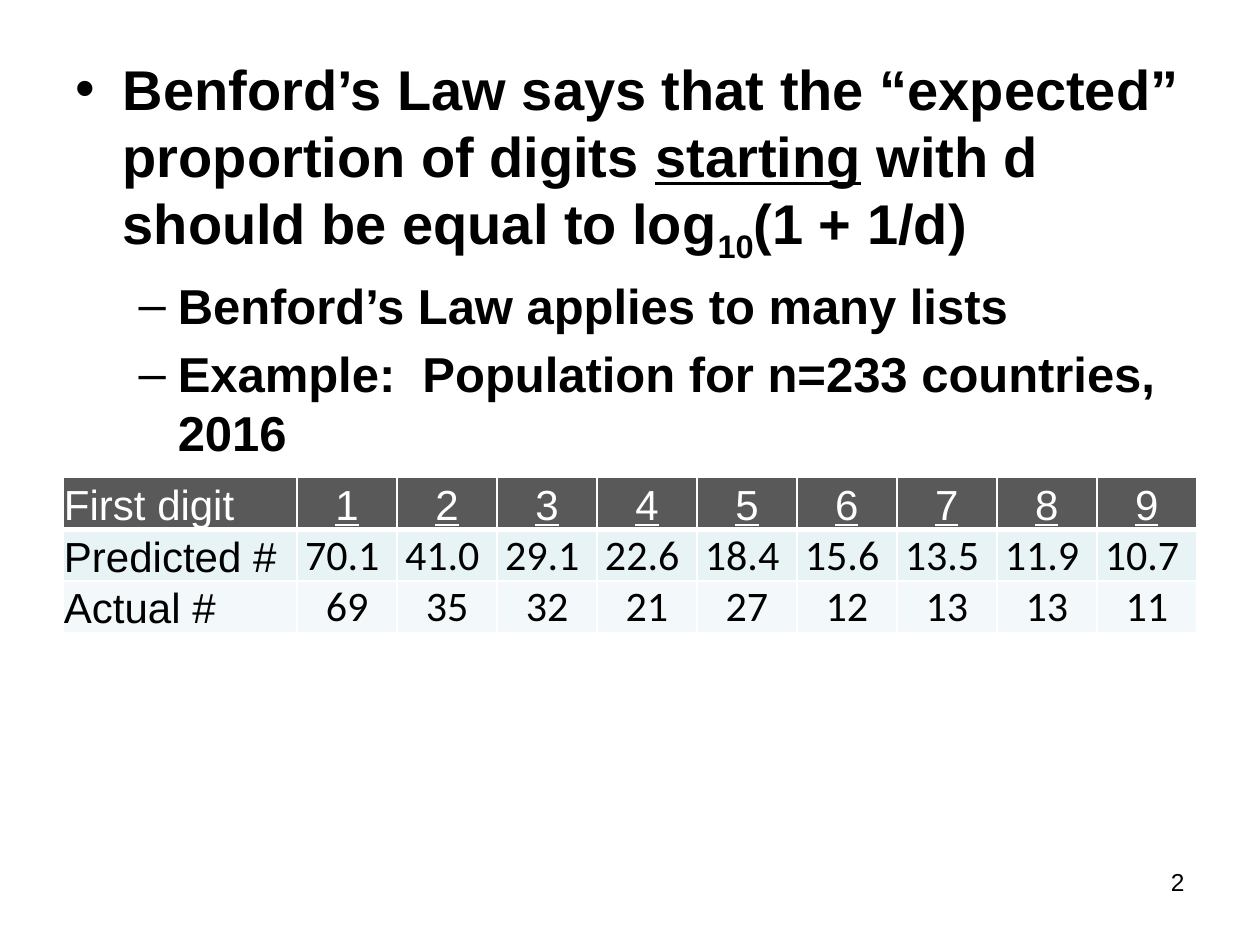
from dataclasses import dataclass

from lxml.etree import SubElement
from pptx import Presentation
from pptx.dml.color import RGBColor
from pptx.enum.text import MSO_ANCHOR, MSO_AUTO_SIZE, PP_ALIGN
from pptx.oxml.ns import qn
from pptx.util import Cm, Pt


@dataclass(frozen=True)
class Theme:
    """Colours, fonts and type sizes of the slide."""
    white: str = "FFFFFF"
    black: str = "000000"
    header: str = "595959"
    bands: tuple = ("E7F3F4", "F3F9FA")
    font: str = "Arial"
    figure_font: str = "Calibri"
    body_sizes: tuple = (32, 28)
    table_size: int = 24
    number_size: int = 14


THEME = Theme()

LEVELS = (("•", Cm(0.95), Cm(-0.95)), ("–", Cm(2.06), Cm(-0.79)))

BULLETS = (
    (0, (
        ("Benford’s Law says that the “expected” proportion of digits ", ""),
        ("starting", "underline"),
        (" with d should be equal to log", ""),
        ("10", "subscript"),
        ("(1 + 1/d)", ""),
    )),
    (1, (("Benford’s Law applies to many lists", ""),)),
    (1, (("Example:  Population for n=233 countries, 2016", ""),)),
)

DIGIT_ROWS = (
    ("First digit", "1", "2", "3", "4", "5", "6", "7", "8", "9"),
    ("Predicted #", "70.1 ", "41.0 ", "29.1 ", "22.6 ", "18.4 ",
     "15.6 ", "13.5 ", "11.9 ", "10.7 "),
    ("Actual #", "69", "35", "32", "21", "27", "12", "13", "13", "11"),
)


def style_span(span, size, color=THEME.black, font=THEME.font, bold=False):
    """Set the type of one run."""
    span.font.name = font
    span.font.size = Pt(size)
    span.font.bold = bold
    span.font.color.rgb = RGBColor.from_string(color)


def set_bullet(para, level):
    """Give a paragraph the bullet and indent of its level."""
    mark, margin, indent = LEVELS[level]
    para.level = level
    properties = para._p.get_or_add_pPr()
    properties.set("marL", str(margin))
    properties.set("indent", str(indent))
    SubElement(properties, qn("a:buFont"), typeface=THEME.font)
    SubElement(properties, qn("a:buChar"), char=mark)


def fill_body(box):
    """Place the body placeholder and write its bullets."""
    box.left, box.top, box.width, box.height = Cm(1.27), Cm(0.97), Cm(22.86), Cm(16.18)
    box.fill.solid()
    box.fill.fore_color.rgb = RGBColor.from_string(THEME.white)
    color = box._element.xpath("./p:spPr/a:solidFill/a:srgbClr")[0]
    SubElement(color, qn("a:alpha"), val="90000")
    frame = box.text_frame
    frame.word_wrap = True
    frame.auto_size = MSO_AUTO_SIZE.NONE
    for index, (level, spans) in enumerate(BULLETS):
        para = frame.add_paragraph() if index else frame.paragraphs[0]
        size = THEME.body_sizes[level]
        set_bullet(para, level)
        para.space_before = Pt(0.2 * size if index else 0)
        for text, effect in spans:
            span = para.add_run()
            span.text = text
            style_span(span, size, bold=True)
            if effect == "underline":
                span.font.underline = True
            elif effect == "subscript":
                span._r.get_or_add_rPr().set("baseline", "-25000")


def set_borders(cell, widths):
    """Draw white borders of the given widths round a cell."""
    properties = cell._tc.get_or_add_tcPr()
    for side, width in zip("LRTB", widths):
        line = SubElement(properties, qn(f"a:ln{side}"), w=str(Pt(width)))
        fill = SubElement(line, qn("a:solidFill"))
        SubElement(fill, qn("a:srgbClr"), val=THEME.white)


def fill_cell(cell, text, row, column):
    """Write and format one table cell."""
    is_header, is_label = row == 0, column == 0
    set_borders(cell, (1, 1, 3 if row == 1 else 1, 3 if is_header else 1))
    cell.fill.solid()
    fill = THEME.header if is_header else THEME.bands[row - 1]
    cell.fill.fore_color.rgb = RGBColor.from_string(fill)
    cell.margin_left = cell.margin_right = cell.margin_top = Cm(0.02)
    cell.margin_bottom = 0
    cell.vertical_anchor = MSO_ANCHOR.BOTTOM
    cell.text_frame.text = text
    para = cell.text_frame.paragraphs[0]
    para.alignment = PP_ALIGN.LEFT if is_label else PP_ALIGN.CENTER
    span = para.runs[0]
    style_span(
        span, THEME.table_size,
        color=THEME.white if is_header else THEME.black,
        font=THEME.font if is_header or is_label else THEME.figure_font)
    span.font.underline = is_header and not is_label


def add_digit_table(page):
    """Add the table of predicted and actual first digits."""
    width, label_width, row_height = Cm(22.86), Cm(4.72), Cm(1.04)
    row_count, column_count = len(DIGIT_ROWS), len(DIGIT_ROWS[0])
    table = page.shapes.add_table(
        row_count, column_count, Cm(1.27), Cm(9.63), width, row_height * row_count).table
    for column, item in enumerate(table.columns):
        item.width = (width - label_width) // (column_count - 1) if column else label_width
    for row, texts in enumerate(DIGIT_ROWS):
        table.rows[row].height = row_height
        for column, text in enumerate(texts):
            fill_cell(table.cell(row, column), text, row, column)


def add_page_number(page, number):
    """Add the page number at the lower right."""
    box = page.shapes.add_textbox(Cm(18.2), Cm(17.35), Cm(5.93), Cm(1.32))
    box.text_frame.word_wrap = True
    box.text_frame.text = number
    para = box.text_frame.paragraphs[0]
    para.alignment = PP_ALIGN.RIGHT
    style_span(para.runs[0], THEME.number_size)


def main():
    """Build and save the slide."""
    deck = Presentation()
    deck.slide_width, deck.slide_height = Cm(25.4), Cm(19.05)
    page = deck.slides.add_slide(deck.slide_layouts[1])
    title = page.shapes.title._element
    title.getparent().remove(title)
    fill_body(page.placeholders[1])
    add_page_number(page, "2")
    add_digit_table(page)
    deck.save("out.pptx")


if __name__ == "__main__":
    main()
